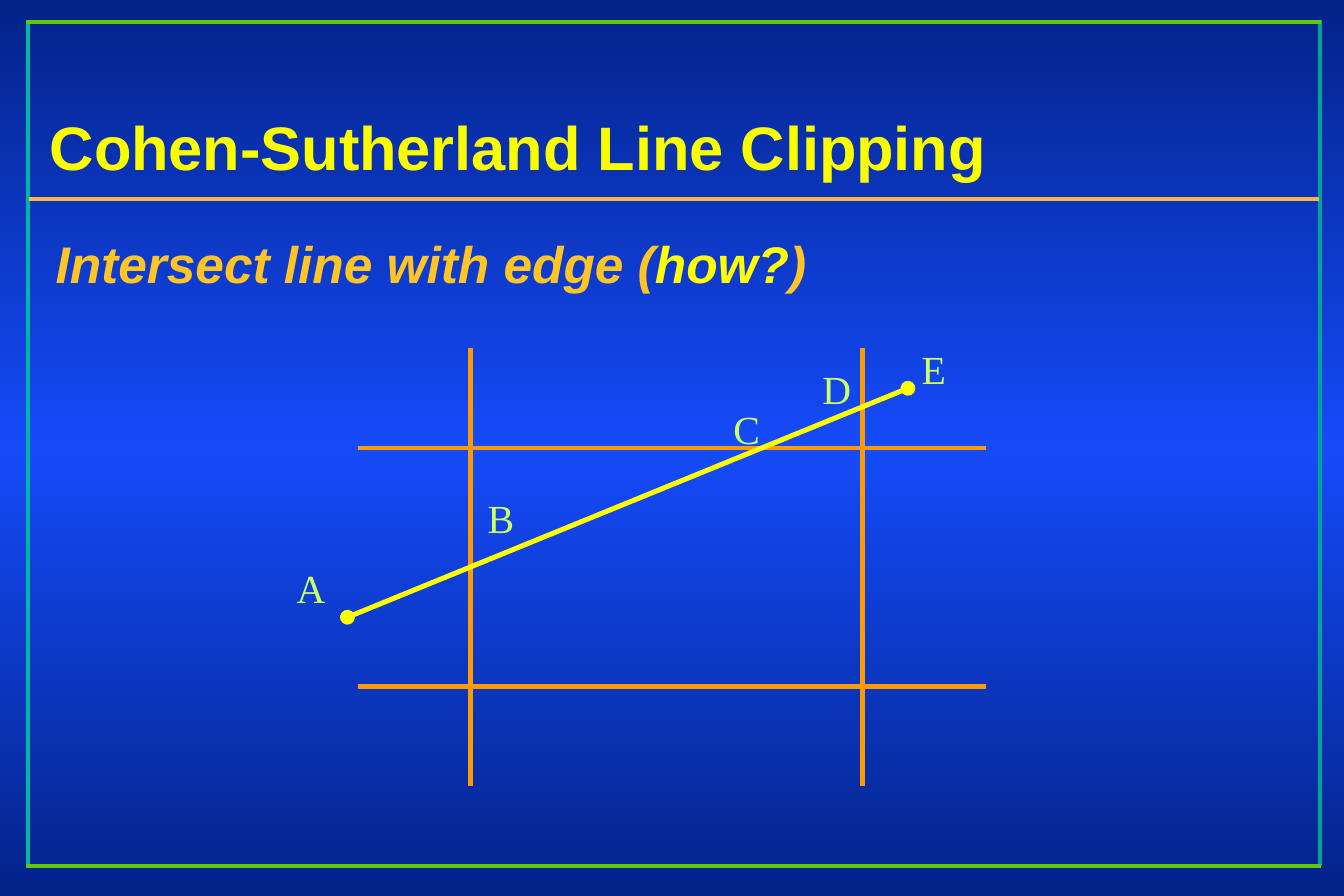
import copy
from dataclasses import dataclass

import lxml.etree
import pptx
import pptx.dml.color
import pptx.enum.shapes
import pptx.enum.text
import pptx.oxml
import pptx.oxml.ns
import pptx.util

# Content: lengths in px, 120 px to the inch
SLIDE_SIZE = (1350, 900)
TITLE = "Cohen-Sutherland Line Clipping"
TITLE_BOX = (38, 40, 1092, 150)
SUBTITLE_BOX = (44, 211, 1265, 119)
SUBTITLE = [("Intersect line with edge (", "subtitle"), ("how?", "segment"), (")", "subtitle")]
FRAME_LINES = [  # x1, y1, x2, y2, colour
    (1326, 20, 1326, 870, "frame_right"),
    (28, 20, 28, 871, "frame_left"),
    (1327, 870, 26, 870, "frame_edge"),
    (26, 22, 1327, 22, "frame_edge"),
    (29, 200, 1325, 200, "rule"),
]
WINDOW_X, WINDOW_Y = (473, 866), (450, 690)
EDGE_X, EDGE_Y = (360, 990), (350, 790)
SEGMENT = (912, 390, 349, 620)
LABEL_HEIGHT = 60
LABELS = [  # letter, left, top, width
    ("A", 286, 560, 53),
    ("B", 478, 490, 50),
    ("D", 814, 360, 53),
    ("E", 914, 340, 48),
    ("C", 725, 400, 50),
]


@dataclass(frozen=True)
class Theme:
    background: tuple = ("032389", "154BF9", "032389")
    title: str = "FAFD00"
    subtitle: str = "FEC524"
    segment: str = "FFFF00"
    edge: str = "FE9B03"
    label: str = "CCFF66"
    frame_right: str = "00A494"
    frame_left: str = "00B7A5"
    frame_edge: str = "60C900"
    rule: str = "FFB549"
    heading_font: str = "Arial"
    label_font: str = "Times New Roman"
    title_size: int = 37
    subtitle_size: int = 31
    label_size: int = 24
    frame_width: int = 2
    figure_width: int = 3


THEME = Theme()
SCALE = 914400 // 120
QN = pptx.oxml.ns.qn


def px(*lengths):
    return [pptx.util.Emu(length * SCALE) for length in lengths]


def rgb(name):
    return pptx.dml.color.RGBColor.from_string(getattr(THEME, name))


def add_line(shapes, ends, color, width):
    line = shapes.add_connector(pptx.enum.shapes.MSO_CONNECTOR.STRAIGHT, *px(*ends))
    line.line.width = pptx.util.Pt(width)
    line.line.color.rgb = rgb(color)
    lxml.etree.SubElement(line.element.spPr, QN("a:effectLst"))
    return line


def format_font(font, name, size, color, bold=False, italic=False):
    font.name, font.size = name, pptx.util.Pt(size)
    font.bold, font.italic = bold, italic
    font.color.rgb = rgb(color)


def add_text_shadow(run):
    shadow = pptx.oxml.parse_xml(
        f'<a:effectLst {pptx.oxml.ns.nsdecls("a")}>'
        '<a:outerShdw dist="38100" dir="2700000"><a:srgbClr val="000000"/></a:outerShdw>'
        "</a:effectLst>"
    )
    run.font.fill  # the shadow follows the fill and precedes the typeface
    run._r.rPr.find(QN("a:latin")).addprevious(shadow)


# Slide and background
presentation = pptx.Presentation()
presentation.slide_width, presentation.slide_height = px(*SLIDE_SIZE)
slide = presentation.slides.add_slide(presentation.slide_layouts[5])
fill = slide.background.fill
fill.gradient()
fill.gradient_angle = 270
stop_list = slide.element.xpath(".//a:gsLst")[0]
stop_list.append(copy.deepcopy(stop_list[0]))
for index, stop in enumerate(fill.gradient_stops):
    stop.position = index / 2
    stop.color.rgb = pptx.dml.color.RGBColor.from_string(THEME.background[index])

# Frame and title rule
for *ends, color in FRAME_LINES:
    add_line(slide.shapes, ends, color, THEME.frame_width)

# Title
title = slide.shapes.title
title.left, title.top, title.width, title.height = px(*TITLE_BOX)
frame = title.text_frame
frame.text = TITLE
frame.word_wrap = True
frame.auto_size = pptx.enum.text.MSO_AUTO_SIZE.NONE
frame.vertical_anchor = pptx.enum.text.MSO_ANCHOR.BOTTOM
paragraph = frame.paragraphs[0]
paragraph.alignment = pptx.enum.text.PP_ALIGN.LEFT
paragraph.line_spacing = 1.04
format_font(paragraph.runs[0].font, THEME.heading_font, THEME.title_size, "title", bold=True)

# Subtitle with shadowed text
frame = slide.shapes.add_textbox(*px(*SUBTITLE_BOX)).text_frame
frame.word_wrap = True
frame.margin_top = px(16)[0]
paragraph = frame.paragraphs[0]
paragraph.line_spacing = 1.1
for text, color in SUBTITLE:
    run = paragraph.add_run()
    run.text = text
    format_font(run.font, THEME.heading_font, THEME.subtitle_size, color, bold=True, italic=True)
    add_text_shadow(run)

# Clipping window, segment and point labels
figure = slide.shapes.add_group_shape().shapes
edges = [(EDGE_X[0], y, EDGE_X[1], y) for y in WINDOW_Y]
edges += [(x, EDGE_Y[1], x, EDGE_Y[0]) for x in WINDOW_X]
for ends in edges:
    add_line(figure, ends, "edge", THEME.figure_width)

segment = add_line(figure, SEGMENT, "segment", THEME.figure_width)
outline = segment.element.spPr.find(QN("a:ln"))
for tag in ("a:headEnd", "a:tailEnd"):
    lxml.etree.SubElement(outline, QN(tag), type="oval")

for letter, left, top, width in LABELS:
    frame = figure.add_textbox(*px(left, top, width, LABEL_HEIGHT)).text_frame
    frame.text = letter
    frame.word_wrap = False
    frame.auto_size = pptx.enum.text.MSO_AUTO_SIZE.SHAPE_TO_FIT_TEXT
    frame.vertical_anchor = pptx.enum.text.MSO_ANCHOR.MIDDLE
    paragraph = frame.paragraphs[0]
    paragraph.alignment = pptx.enum.text.PP_ALIGN.CENTER
    format_font(paragraph.runs[0].font, THEME.label_font, THEME.label_size, "label")

presentation.save("out.pptx")
